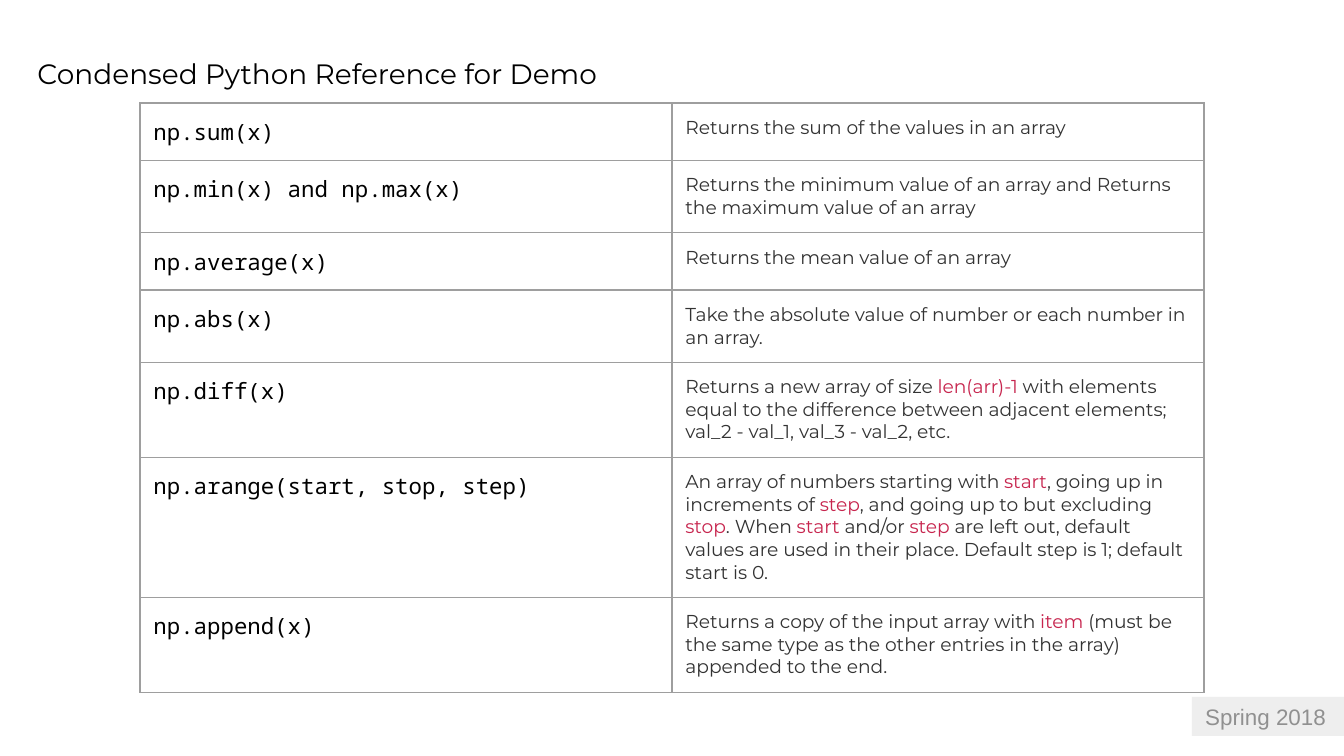
from dataclasses import dataclass

from lxml import etree
from pptx import Presentation
from pptx.dml.color import RGBColor
from pptx.enum.shapes import MSO_SHAPE
from pptx.enum.text import MSO_ANCHOR, MSO_AUTO_SIZE, PP_ALIGN
from pptx.oxml.ns import qn
from pptx.util import Emu, Pt

RECTANGLE = MSO_SHAPE.RECTANGLE
TOP, MIDDLE = MSO_ANCHOR.TOP, MSO_ANCHOR.MIDDLE
LEFT = PP_ALIGN.LEFT
NO_AUTOFIT = MSO_AUTO_SIZE.NONE

PX_PER_INCH = 134.4
INSET = Pt(7.2)
COLUMN_WIDTH, ROW_HEIGHT = 532, 57
BORDER_COLOR, BORDER_WIDTH = "9E9E9E", Pt(0.75)
HIGHLIGHT = "C7254E"


@dataclass(frozen=True)
class TextStyle:
    font: str
    size: int
    color: str


@dataclass(frozen=True)
class Entry:
    call: str
    description: str  # backticks enclose highlighted words


TITLE = TextStyle("Montserrat", 15, "000000")
CODE = TextStyle("Noto Sans Mono", 12, "000000")
DESCRIPTION = TextStyle("Montserrat", 10, "333333")
TERM_LABEL = TextStyle("Arial", 12, "909090")

ENTRIES = [
    Entry("np.sum(x)", "Returns the sum of the values in an array"),
    Entry("np.min(x) and np.max(x)",
          "Returns the minimum value of an array and Returns the maximum value of an array"),
    Entry("np.average(x)", "Returns the mean value of an array"),
    Entry("np.abs(x)", "Take the absolute value of number or each number in an array."),
    Entry("np.diff(x)",
          "Returns a new array of size `len(arr)-1` with elements equal to the difference "
          "between adjacent elements; val_2 - val_1, val_3 - val_2, etc."),
    Entry("np.arange(start, stop, step)",
          "An array of numbers starting with `start`, going up in increments of `step`, "
          "and going up to but excluding `stop`. When `start` and/or `step` are left out, "
          "default values are used in their place. Default step is 1; default start is 0."),
    Entry("np.append(x)",
          "Returns a copy of the input array with `item` (must be the same type as the "
          "other entries in the array) appended to the end."),
]


def px(length: int) -> Emu:
    return Emu(round(length * 914400 / PX_PER_INCH))


def rgb(color: str) -> RGBColor:
    return RGBColor.from_string(color)


def write_text(text_frame, text: str, style: TextStyle) -> None:
    """Write one paragraph; every second backtick-separated part is highlighted."""
    paragraph = text_frame.paragraphs[0]
    paragraph.alignment = LEFT
    paragraph.font.name = style.font
    paragraph.font.size = Pt(style.size)
    paragraph.font.color.rgb = rgb(style.color)
    for index, part in enumerate(text.split("`")):
        run = paragraph.add_run()
        run.text = part
        if index % 2:
            run.font.color.rgb = rgb(HIGHLIGHT)


def set_insets(target) -> None:
    target.margin_left = target.margin_right = INSET
    target.margin_top = target.margin_bottom = INSET


def set_borders(cell) -> None:
    properties = cell._tc.get_or_add_tcPr()
    for index, side in enumerate(("a:lnL", "a:lnR", "a:lnT", "a:lnB")):
        line = etree.Element(qn(side), w=str(BORDER_WIDTH))
        fill = etree.SubElement(line, qn("a:solidFill"))
        etree.SubElement(fill, qn("a:srgbClr"), val=BORDER_COLOR)
        properties.insert(index, line)


def add_title(slide, text: str) -> None:
    title = slide.shapes.title
    title.left, title.top, title.width, title.height = px(24), px(43), px(1253), px(85)
    text_frame = title.text_frame
    text_frame.auto_size = NO_AUTOFIT
    text_frame.vertical_anchor = TOP
    set_insets(text_frame)
    write_text(text_frame, text, TITLE)


def add_reference_table(slide, entries: list[Entry]) -> None:
    table = slide.shapes.add_table(
        len(entries), 2, px(140), px(103),
        px(2 * COLUMN_WIDTH), px(len(entries) * ROW_HEIGHT)).table
    table.first_row = table.horz_banding = False
    for column in table.columns:
        column.width = px(COLUMN_WIDTH)
    for row, entry in zip(table.rows, entries):
        row.height = px(ROW_HEIGHT)
        texts = ((entry.call, CODE), (entry.description, DESCRIPTION))
        for cell, (text, style) in zip(row.cells, texts):
            cell.fill.background()
            cell.vertical_anchor = TOP
            set_insets(cell)
            set_borders(cell)
            write_text(cell.text_frame, text, style)


def add_term_label(slide, text: str) -> None:
    shape = slide.shapes.add_shape(RECTANGLE, px(1192), px(697), px(152), px(39))
    shape.shadow.inherit = False
    shape.fill.solid()
    shape.fill.fore_color.rgb = rgb("EEEEEE")
    shape.line.fill.background()
    text_frame = shape.text_frame
    text_frame.word_wrap = True
    text_frame.vertical_anchor = MIDDLE
    set_insets(text_frame)
    write_text(text_frame, text, TERM_LABEL)


def main() -> None:
    presentation = Presentation()
    presentation.slide_width, presentation.slide_height = px(1344), px(756)
    # Title-only layout
    slide = presentation.slides.add_slide(presentation.slide_layouts[5])
    add_title(slide, "Condensed Python Reference for Demo")
    add_reference_table(slide, ENTRIES)
    add_term_label(slide, "Spring 2018")
    presentation.save("out.pptx")


if __name__ == "__main__":
    main()
